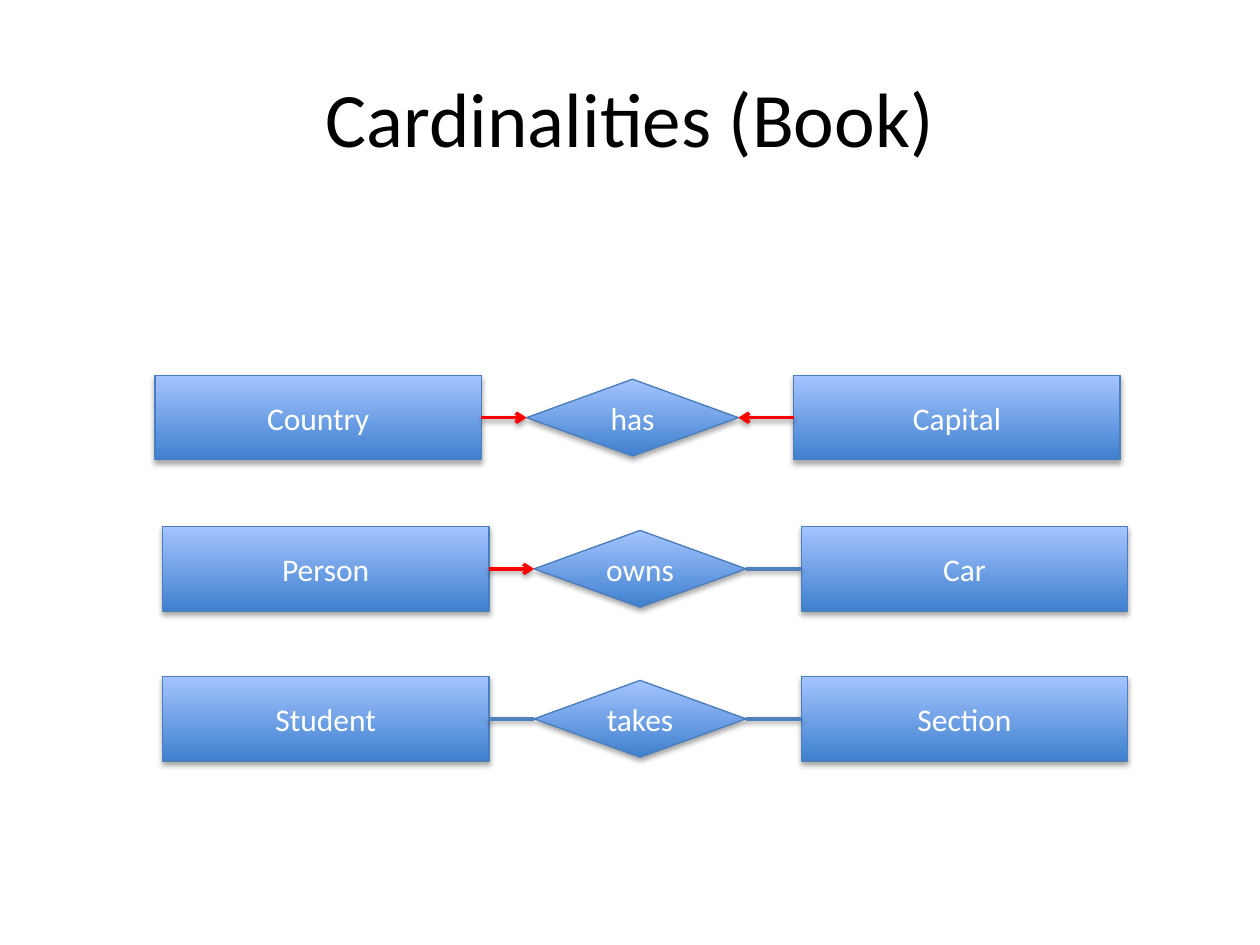
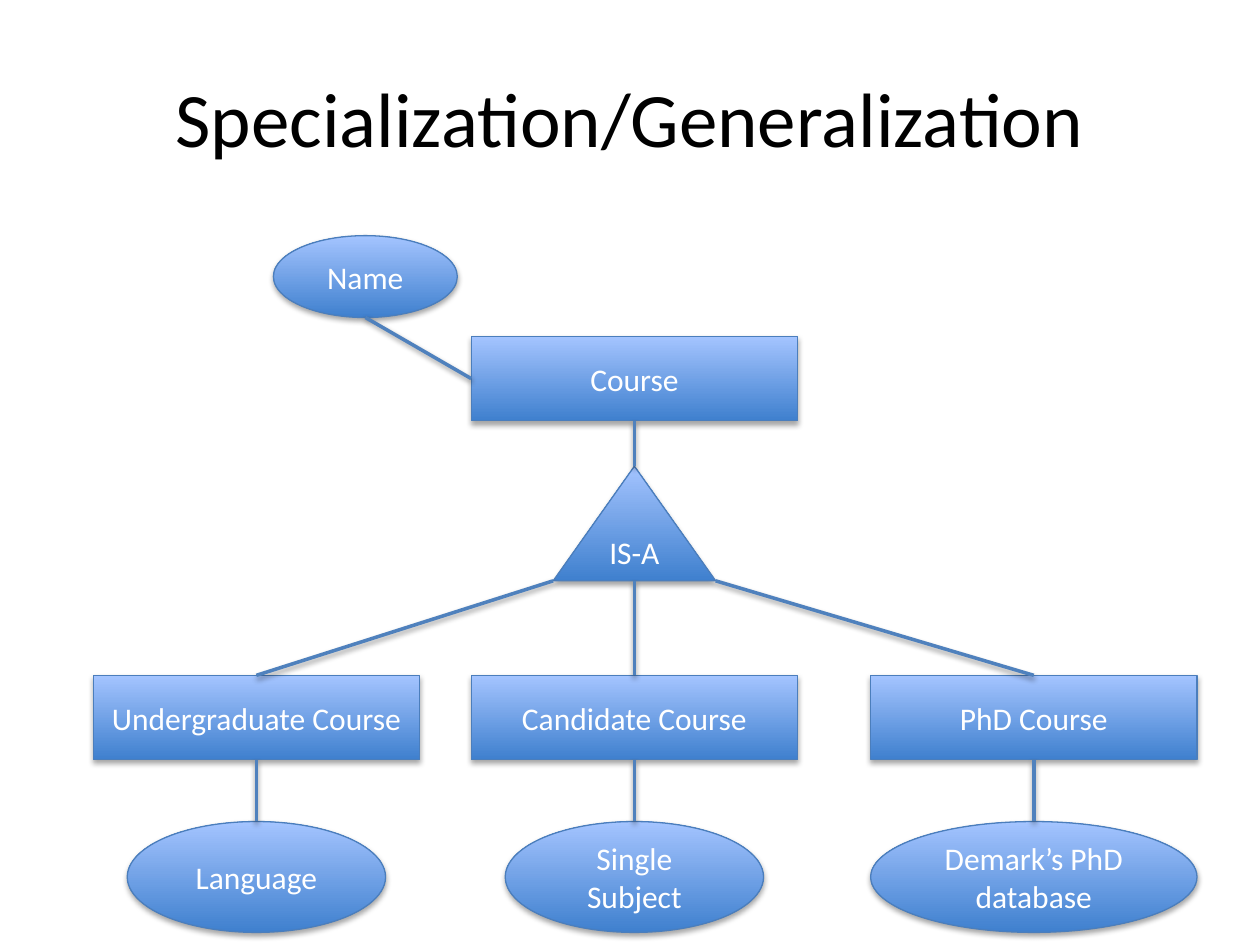
"""Build two slides of entity-relationship diagrams: cardinalities and specialization."""
from dataclasses import dataclass

from pptx import Presentation, util as u
from pptx.dml.color import RGBColor
from pptx.enum import shapes, text as txt
from pptx.oxml import parse_xml
from pptx.oxml.ns import nsdecls


@dataclass(frozen=True)
class Theme:
    font: str = "Calibri"
    title_size: int = 44
    label_size: int = 18
    title: str = "000000"
    label: str = "FFFFFF"
    gradient: tuple = ("3F80CE", "A4C4FF")
    outline: str = "4B7EBC"
    link: str = "4F81BD"
    key_link: str = "FF0000"
    shadow: str = (
        f'<a:effectLst {nsdecls("a")}><a:outerShdw blurRad="40000" dist="%d" dir="5400000" '
        'rotWithShape="0"><a:srgbClr val="000000"><a:alpha val="%d"/></a:srgbClr>'
        '</a:outerShdw></a:effectLst>'
    )


T = Theme()
SHAPE = shapes.MSO_SHAPE
TOP, LEFT, BOTTOM, RIGHT = (0.5, 0), (0, 0.5), (0.5, 1), (1, 0.5)
ENTITY = (2.59, 0.67)
DIAMOND = (1.68, 0.61)
TITLE = (9, 1.25)


def add_text(s, text, x, y, size, kind=None, pt=T.label_size, color=T.label):
    box = [u.Inches(v) for v in (x, y, *size)]
    if kind is None:
        sp = s.shapes.add_textbox(*box)
    else:
        sp = s.shapes.add_shape(kind, *box)
        sp.fill.gradient()
        sp.fill.gradient_angle = 90
        for stop, rgb in zip(sp.fill.gradient_stops, T.gradient):
            stop.color.rgb = RGBColor.from_string(rgb)
        sp.line.color.rgb = RGBColor.from_string(T.outline)
        sp.line.width = u.Pt(0.75)
        sp._element.spPr.append(parse_xml(T.shadow % (23000, 35000)))
    tf = sp.text_frame
    tf.word_wrap = True
    tf.vertical_anchor = txt.MSO_ANCHOR.MIDDLE
    if kind == SHAPE.OVAL:
        tf.margin_top = tf.margin_bottom = 0
    p = tf.paragraphs[0]
    p.alignment = txt.PP_ALIGN.CENTER
    r = p.add_run()
    r.text = text
    r.font.name = T.font
    r.font.size = u.Pt(pt)
    r.font.color.rgb = RGBColor.from_string(color)
    return sp


def add_link(s, start, start_side, end, end_side, arrow=False):
    ends = []
    for sp, (fx, fy) in ((start, start_side), (end, end_side)):
        ends += [int(sp.left + fx * sp.width), int(sp.top + fy * sp.height)]
    c = s.shapes.add_connector(shapes.MSO_CONNECTOR.STRAIGHT, *ends)
    c.line.color.rgb = RGBColor.from_string(T.key_link if arrow else T.link)
    c.line.width = u.Pt(2)
    if arrow:
        c.line._get_or_add_ln().append(parse_xml(f'<a:tailEnd {nsdecls("a")} type="arrow"/>'))
    c._element.spPr.append(parse_xml(T.shadow % (20000, 38000)))


prs = Presentation()
prs.slide_width, prs.slide_height = u.Inches(10), u.Inches(7.5)
slides = []
for title in ("Cardinalities (Book)", "Specialization/Generalization"):
    s = prs.slides.add_slide(prs.slide_layouts[6])
    add_text(s, title, 0.5, 0.3, TITLE, pt=T.title_size, color=T.title)
    slides.append(s)
cardinalities, specialization = slides

s = cardinalities
for x, y, left, verb, right, left_arrow, right_arrow in (
    (1.23, 2.98, "Country", "has", "Capital", True, True),
    (1.29, 4.18, "Person", "owns", "Car", True, False),
    (1.29, 5.37, "Student", "takes", "Section", False, False),
):
    right_entity = add_text(s, right, x + 5.07, y, ENTITY, SHAPE.RECTANGLE)
    left_entity = add_text(s, left, x, y, ENTITY, SHAPE.RECTANGLE)
    relation = add_text(s, verb, x + 2.95, y + 0.03, DIAMOND, SHAPE.DIAMOND)
    add_link(s, left_entity, RIGHT, relation, LEFT, left_arrow)
    add_link(s, right_entity, LEFT, relation, RIGHT, right_arrow)

s = specialization
is_a = add_text(s, "IS-A", 4.39, 3.7, (1.29, 0.91), SHAPE.ISOSCELES_TRIANGLE)
course = add_text(s, "Course", 3.74, 2.67, ENTITY, SHAPE.RECTANGLE)
name = add_text(s, "Name", 2.17, 1.87, (1.46, 0.65), SHAPE.OVAL)
add_link(s, is_a, TOP, course, BOTTOM)
add_link(s, name, BOTTOM, course, LEFT)
for x, kind, corner, attribute, oval_width in (
    (0.74, "Undergraduate Course", (0, 1), "Language", 2.05),
    (3.74, "Candidate Course", BOTTOM, "Single Subject", 2.05),
    (6.91, "PhD Course", (1, 1), "Demark’s PhD database", 2.59),
):
    entity = add_text(s, kind, x, 5.36, ENTITY, SHAPE.RECTANGLE)
    oval_x = x + (ENTITY[0] - oval_width) / 2
    oval = add_text(s, attribute, oval_x, 6.52, (oval_width, 0.88), SHAPE.OVAL)
    add_link(s, is_a, corner, entity, TOP)
    add_link(s, entity, BOTTOM, oval, TOP)

prs.save("out.pptx")
